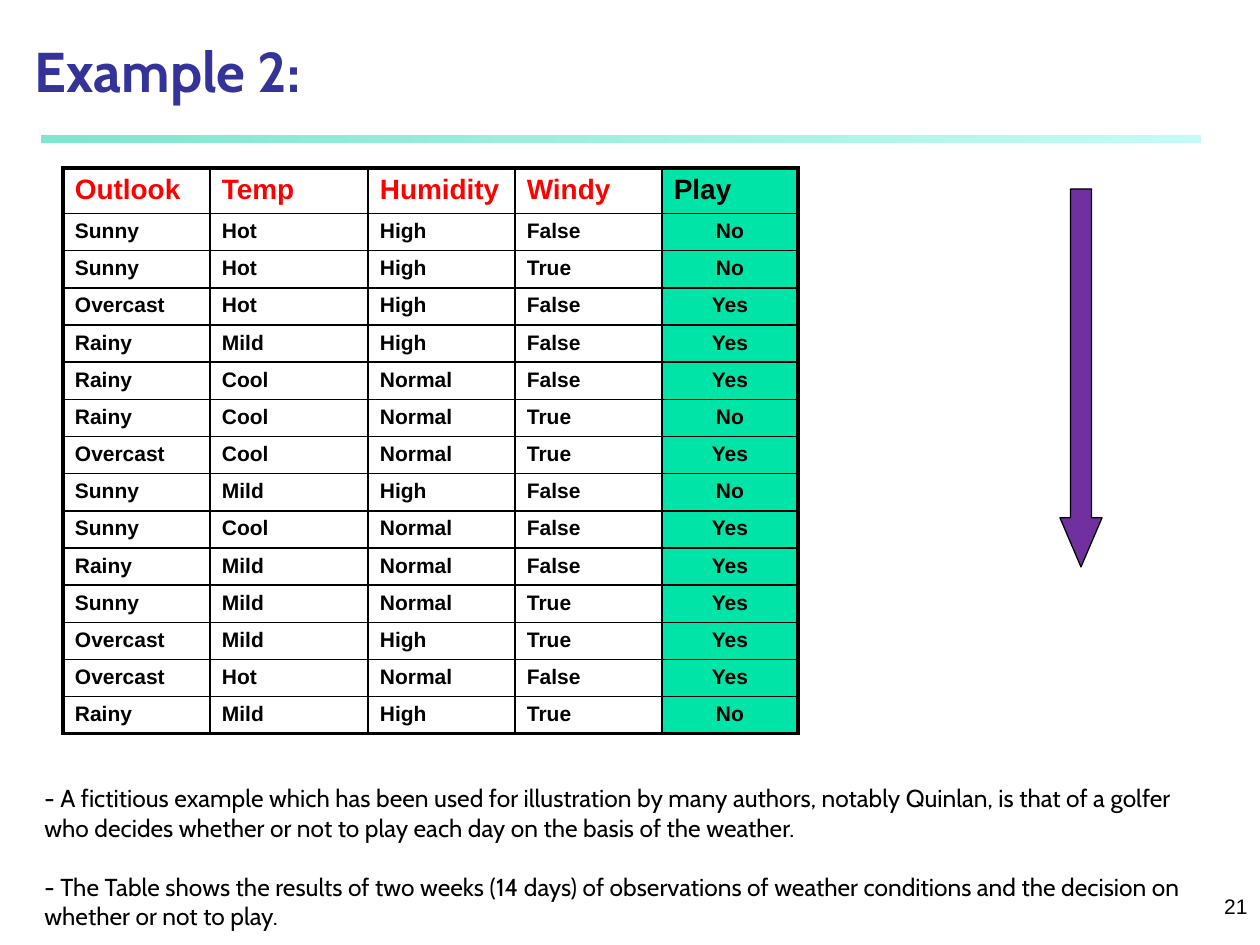
from lxml.etree import SubElement
from pptx import Presentation
from pptx.dml.color import RGBColor
from pptx.enum.shapes import MSO_SHAPE as Shape
from pptx.enum.text import MSO_ANCHOR as Anchor, PP_ALIGN as Align
from pptx.oxml.ns import qn
from pptx.util import Emu, Pt

SCALE = 914400 / 126
COLORS = {
    "title": "333399",
    "text": "000000",
    "heading": "FF0000",
    "play": "00E4A8",
    "cell": "FFFFFF",
    "arrow": "7030A0",
    "rule_start": "00CE98",
    "rule_end": "8FF9EF",
}
COLUMN_WIDTHS = [147, 158, 147, 147, 136]
HEADER_HEIGHT, ROW_HEIGHT = 44, 36
WEATHER = [
    "Outlook Temp Humidity Windy Play",
    "Sunny Hot High False No",
    "Sunny Hot High True No",
    "Overcast Hot High False Yes",
    "Rainy Mild High False Yes",
    "Rainy Cool Normal False Yes",
    "Rainy Cool Normal True No",
    "Overcast Cool Normal True Yes",
    "Sunny Mild High False No",
    "Sunny Cool Normal False Yes",
    "Rainy Mild Normal False Yes",
    "Sunny Mild Normal True Yes",
    "Overcast Mild High True Yes",
    "Overcast Hot Normal False Yes",
    "Rainy Mild High True No",
]
NOTES = [
    "- A fictitious example which has been used for illustration by many authors, "
    "notably Quinlan, is that of a golfer who decides whether or not to play each day "
    "on the basis of the weather.",
    "- The Table shows the results of two weeks (14 days) of observations of weather "
    "conditions and the decision on whether or not to play.",
]


def px(length):
    return Emu(round(length * SCALE))


def box(*lengths):
    return [px(length) for length in lengths]


def rgb(name):
    return RGBColor.from_string(COLORS[name])


def write(frame, *texts, size=14, font="Cabin", color="text", bold=False,
          align=Align.LEFT, anchor=Anchor.TOP, gap=0):
    frame.word_wrap = True
    frame.vertical_anchor = anchor
    for index, text in enumerate(texts):
        paragraph = frame.add_paragraph() if index else frame.paragraphs[0]
        paragraph.alignment = align
        paragraph.space_before = Pt(gap if index else 0)
        run = paragraph.add_run()
        run.text = text
        run.font.size = Pt(size)
        run.font.name = font
        run.font.bold = bold
        run.font.color.rgb = rgb(color)


def add_text(slide, bounds, *texts, **style):
    write(slide.shapes.add_textbox(*box(*bounds)).text_frame, *texts, **style)


def add_rule(slide, bounds):
    shape = slide.shapes.add_shape(Shape.RECTANGLE, *box(*bounds))
    shape.shadow.inherit = False
    shape.line.fill.background()
    shape.fill.gradient()
    shape.fill.gradient_angle = 0
    for stop, name in zip(shape.fill.gradient_stops, ("rule_start", "rule_end")):
        stop.color.rgb = rgb(name)
    for color, opacity in zip(shape.element.spPr.iter(qn("a:srgbClr")), (50, 52)):
        SubElement(color, qn("a:alpha"), val=str(opacity * 1000))


def add_arrow(slide, bounds):
    shape = slide.shapes.add_shape(Shape.DOWN_ARROW, *box(*bounds))
    shape.shadow.inherit = False
    shape.adjustments[0] = 0.5
    shape.adjustments[1] = 1.17
    shape.fill.solid()
    shape.fill.fore_color.rgb = rgb("arrow")
    shape.line.color.rgb = rgb("text")
    shape.line.width = Pt(0.75)


def set_borders(cell, outer_sides):
    properties = cell._tc.get_or_add_tcPr()
    for index, side in enumerate("LRTB"):
        width = Pt(2.25 if side in outer_sides else 1)
        line = SubElement(properties, qn(f"a:ln{side}"), w=str(width))
        fill = SubElement(line, qn("a:solidFill"))
        SubElement(fill, qn("a:srgbClr"), val=COLORS["text"])
        properties.insert(index, line)


def fill_cell(cell, text, is_header, is_play, outer_sides):
    cell.margin_left = cell.margin_right = px(12)
    cell.margin_top = cell.margin_bottom = px(6)
    cell.fill.solid()
    cell.fill.fore_color.rgb = rgb("play" if is_play else "cell")
    write(cell.text_frame, text, size=16 if is_header else 12, font="Arial", bold=True,
          color="heading" if is_header and not is_play else "text",
          align=Align.CENTER if is_play and not is_header else Align.LEFT)
    set_borders(cell, outer_sides)


def add_weather_table(slide, left, top):
    rows = [line.split() for line in WEATHER]
    last_row, last_column = len(rows) - 1, len(COLUMN_WIDTHS) - 1
    height = HEADER_HEIGHT + ROW_HEIGHT * last_row
    table = slide.shapes.add_table(
        len(rows), len(COLUMN_WIDTHS), *box(left, top, sum(COLUMN_WIDTHS), height)).table
    for column, width in zip(table.columns, COLUMN_WIDTHS):
        column.width = px(width)
    for r, values in enumerate(rows):
        table.rows[r].height = px(ROW_HEIGHT if r else HEADER_HEIGHT)
        for c, value in enumerate(values):
            edges = {"L": c == 0, "R": c == last_column, "T": r == 0, "B": r == last_row}
            outer_sides = [side for side, is_outer in edges.items() if is_outer]
            fill_cell(table.cell(r, c), value, r == 0, c == last_column, outer_sides)


def main():
    presentation = Presentation()
    presentation.slide_width, presentation.slide_height = box(1260, 945)
    slide = presentation.slides.add_slide(presentation.slide_layouts[6])
    add_rule(slide, (42, 136, 1159, 7))
    add_text(slide, (998, 872, 262, 53), "21", size=12, font="Arial",
             align=Align.RIGHT, anchor=Anchor.BOTTOM)
    add_text(slide, (22, 32, 577, 78), "Example 2:", size=32, color="title",
             bold=True, anchor=Anchor.BOTTOM)
    add_weather_table(slide, 63, 168)
    add_arrow(slide, (1060, 189, 42, 378))
    add_text(slide, (32, 777, 1176, 161), *NOTES, gap=17)
    presentation.save("out.pptx")


if __name__ == "__main__":
    main()
